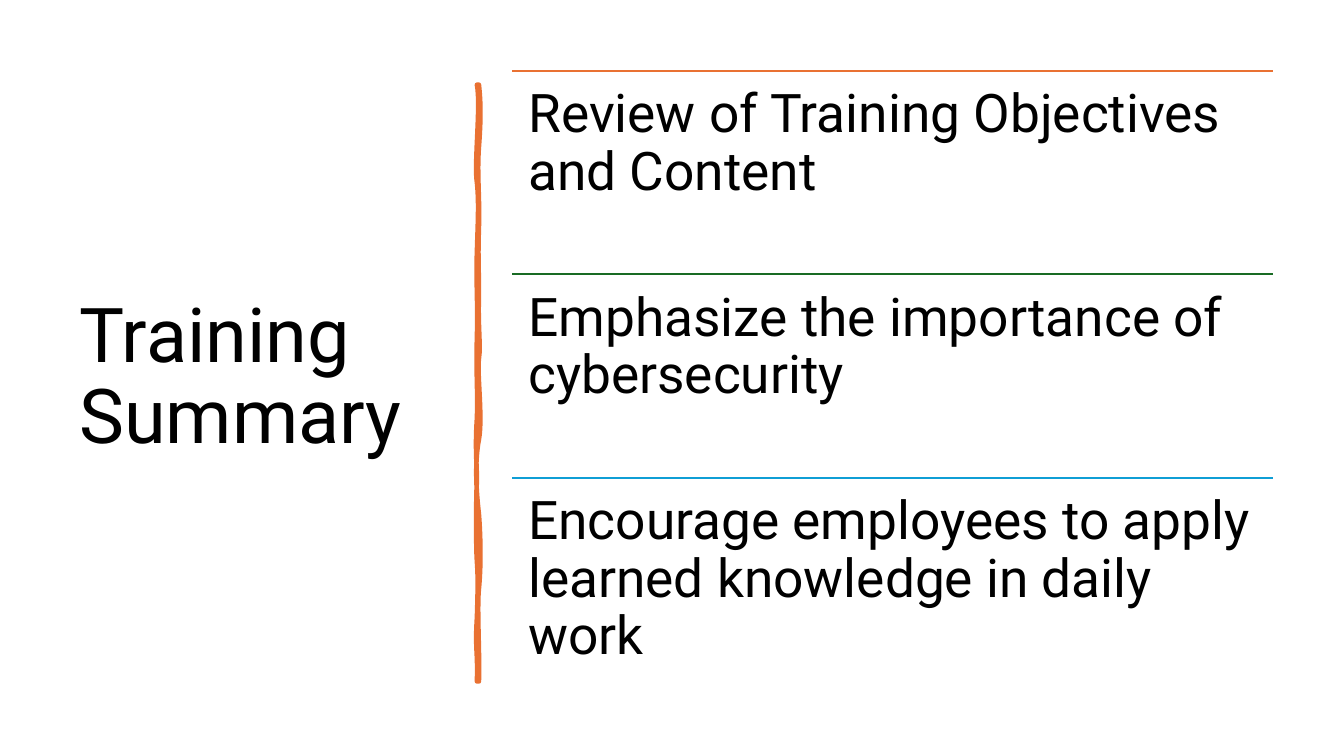
"""Build the training summary slide."""
from lxml import etree
from pptx import Presentation
from pptx.dml.color import RGBColor
from pptx.enum.shapes import MSO_CONNECTOR
from pptx.enum.text import MSO_ANCHOR
from pptx.oxml.ns import qn
from pptx.util import Inches, Pt

STRAIGHT = MSO_CONNECTOR.STRAIGHT
TOP, MIDDLE = MSO_ANCHOR.TOP, MSO_ANCHOR.MIDDLE
BLACK = RGBColor(0x00, 0x00, 0x00)
ORANGE = RGBColor(0xE9, 0x71, 0x32)
GREEN = RGBColor(0x19, 0x6B, 0x24)
BLUE = RGBColor(0x0F, 0x9E, 0xD5)

TITLE = "Training Summary"
ITEMS = [
    ("Review of Training Objectives and Content", ORANGE),
    ("Emphasize the importance of cybersecurity", GREEN),
    ("Encourage employees to apply learned knowledge in daily work", BLUE),
]
TITLE_BOX = (0.69, 0.7, 3.74, 6.11)
LIST_LEFT, LIST_TOP, LIST_WIDTH, ROW = 5.08, 0.7, 7.55, 2.02
FONT_NAME = "Roboto"

BAR_START = (4.75, 0.84)
BAR_CURVES = [
    ((4.77, 1.02), (4.77, 1.19), (4.75, 1.46)),
    ((4.73, 1.73), (4.76, 1.95), (4.75, 2.26)),
    ((4.74, 2.57), (4.75, 2.62), (4.75, 2.94)),
    ((4.74, 3.25), (4.77, 3.42), (4.75, 3.56)),
    ((4.73, 3.7), (4.79, 4.14), (4.75, 4.36)),
    ((4.71, 4.57), (4.72, 4.84), (4.75, 5.1)),
    ((4.77, 5.36), (4.77, 5.64), (4.75, 5.84)),
    ((4.73, 6.03), (4.76, 6.5), (4.75, 6.76)),
    ((4.74, 6.76), (4.73, 6.76), (4.73, 6.76)),
    ((4.74, 6.46), (4.71, 6.44), (4.73, 6.13)),
    ((4.74, 5.83), (4.74, 5.7), (4.73, 5.57)),
    ((4.72, 5.44), (4.72, 4.95), (4.73, 4.77)),
    ((4.73, 4.59), (4.71, 4.45), (4.73, 4.15)),
    ((4.74, 3.86), (4.72, 3.73), (4.73, 3.35)),
    ((4.74, 2.98), (4.72, 2.81), (4.73, 2.5)),
    ((4.74, 2.18), (4.75, 2), (4.73, 1.81)),
    ((4.7, 1.63), (4.77, 1.04), (4.73, 0.84)),
]


def add_text(slide, text, box, size, anchor, inset):
    sp = slide.shapes.add_textbox(*map(Inches, box))
    tf = sp.text_frame
    layout = {"word_wrap": True, "vertical_anchor": anchor}
    layout.update({f"margin_{side}": Inches(value) for side, value in inset.items()})
    for key, value in layout.items():
        setattr(tf, key, value)
    p = tf.paragraphs[0]
    p.line_spacing = 0.9
    r = p.add_run()
    r.text = text
    for key, value in {"name": FONT_NAME, "size": Pt(size)}.items():
        setattr(r.font, key, value)
    r.font.color.rgb = BLACK


def add_rule(slide, left, top, width, color):
    ends = map(Inches, (left, top, left + width, top))
    sp = slide.shapes.add_connector(STRAIGHT, *ends)
    sp.line.color.rgb, sp.line.width = color, Pt(1.5)
    etree.SubElement(sp._element.spPr, qn("a:effectLst"))


def bend_lines(sp):
    lines = list(sp._element.iter(qn("a:lnTo")))
    for i in range(0, len(lines), 3):
        curve = etree.Element(qn("a:cubicBezTo"))
        lines[i].addprevious(curve)
        for line in lines[i:i + 3]:
            curve.append(line[0])
            line.getparent().remove(line)


def add_bar(slide):
    builder = slide.shapes.build_freeform(*map(Inches, BAR_START), scale=1)
    points = [tuple(map(Inches, point)) for curve in BAR_CURVES for point in curve]
    builder.add_line_segments(points, close=True)
    sp = builder.convert_to_shape()
    bend_lines(sp)
    sp.shadow.inherit = False
    sp.fill.solid()
    sp.fill.fore_color.rgb = ORANGE
    sp.line.color.rgb, sp.line.width = ORANGE, Pt(3.25)
    etree.SubElement(sp._element.spPr.find(qn("a:ln")), qn("a:round"))


def main():
    prs = Presentation()
    prs.slide_width, prs.slide_height = Inches(13.33), Inches(7.5)
    slide = prs.slides.add_slide(prs.slide_layouts[6])
    title_inset = {"left": 0.1, "right": 0.1, "top": 0.05, "bottom": 0.05}
    item_inset = dict.fromkeys(title_inset, 0.16)
    add_text(slide, TITLE, TITLE_BOX, 54, MIDDLE, title_inset)
    add_bar(slide)
    for i, (text, color) in enumerate(ITEMS):
        top = LIST_TOP + i * ROW
        add_rule(slide, LIST_LEFT, top, LIST_WIDTH, color)
        add_text(slide, text, (LIST_LEFT, top, LIST_WIDTH, ROW), 38, TOP, item_inset)
    prs.save("out.pptx")


if __name__ == "__main__":
    main()
